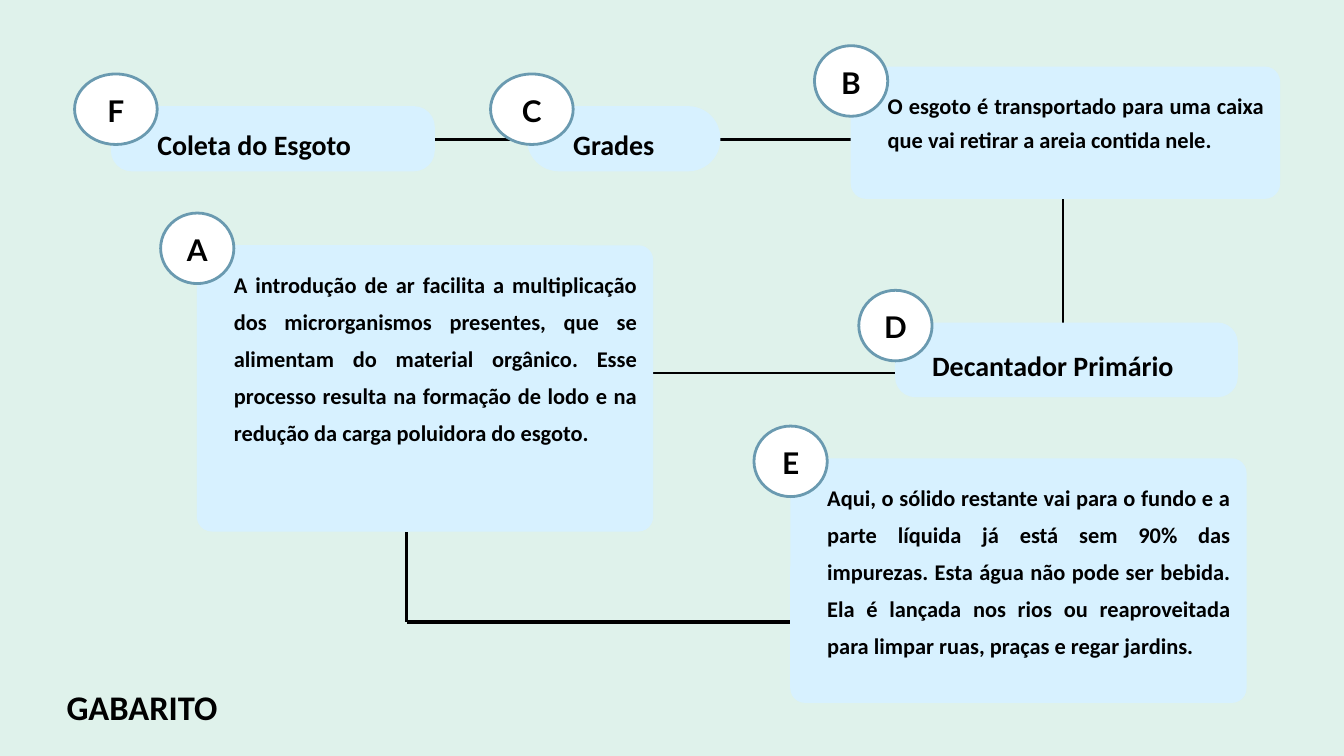
from pptx import Presentation, util as u
from pptx.dml.color import RGBColor
from pptx.enum import shapes, text
from pptx.oxml import xmlchemy

INK, CARD, BADGE, BORDER, BACKGROUND = "000000", "D7F1FF", "FFFFFF", "6A9AB0", "DFF2EB"
BODY_FONT, BADGE_FONT = "Calibri", "Lato"


def color(value):
    return RGBColor.from_string(value)


class FlowSlide:
    badge_offset = 0.54  # from the card's left edge back to the badge
    badge_height = 1.05

    def __init__(self, slide):
        self.slide = slide
        slide.background.fill.solid()
        slide.background.fill.fore_color.rgb = color(BACKGROUND)

    def add_words(self, shape, words, size, spacing, font, align, anchor, bottom=0):
        frame = shape.text_frame
        frame.word_wrap = True
        frame.vertical_anchor = anchor
        frame.margin_left = frame.margin_right = frame.margin_top = 0
        frame.margin_bottom = u.Inches(bottom)
        paragraph = frame.paragraphs[0]
        paragraph.alignment = align
        paragraph.line_spacing = u.Pt(spacing)
        run = paragraph.add_run()
        run.text = words
        run.font.name = font
        run.font.size = u.Pt(size)
        run.font.bold = True
        run.font.color.rgb = color(INK)

    def shape(self, kind, box, fill):
        shape = self.slide.shapes.add_shape(kind, *map(u.Inches, box))
        shape.shadow.inherit = False
        shape.fill.solid()
        shape.fill.fore_color.rgb = color(fill)
        shape.line.fill.background()
        return shape

    def label(self, box, words, size, spacing):
        label = self.slide.shapes.add_textbox(*map(u.Inches, box))
        self.add_words(label, words, size, spacing, BODY_FONT,
                       text.PP_ALIGN.JUSTIFY, text.MSO_ANCHOR.TOP)

    def badge(self, left, top, width, letter):
        badge = self.shape(shapes.MSO_SHAPE.OVAL,
                           (left, top, width, self.badge_height), BADGE)
        badge.line.color.rgb = color(BORDER)
        badge.line.width = u.Pt(3)
        self.add_words(badge, letter, 32, 44.8, BADGE_FONT,
                       text.PP_ALIGN.CENTER, text.MSO_ANCHOR.MIDDLE, bottom=0.05)

    def step(self, letter, box, radius, words, text_size, font=(24, 39.6),
             drop=0.24, rise=0.48, badge_width=1.09):
        """A card with a lettered badge on its corner; text starts at the badge's right."""
        left, top, width, height = box
        card = self.shape(shapes.MSO_SHAPE.ROUNDED_RECTANGLE, box, CARD)
        card.adjustments[0] = radius / min(width, height)
        badge_left = left - self.badge_offset
        self.badge(badge_left, top - rise, badge_width, letter)
        self.label((badge_left + badge_width, top + drop, *text_size), words, *font)

    def line(self, start, end, width=3):
        line = self.slide.shapes.add_connector(
            shapes.MSO_CONNECTOR.STRAIGHT, *map(u.Inches, (*start, *end)))
        line.line.color.rgb = color(INK)
        line.line.width = u.Pt(width)
        line._element.spPr.append(xmlchemy.OxmlElement("a:effectLst"))


def main():
    presentation = Presentation()
    presentation.slide_width = u.Inches(20)
    presentation.slide_height = u.Inches(11.25)
    flow = FlowSlide(presentation.slides.add_slide(presentation.slide_layouts[6]))

    # Lines, running behind the cards
    flow.line((3.79, 2.08), (16.38, 2.08))
    flow.line((15.82, 5.11), (15.82, 2.29))
    flow.line((9.72, 5.55), (15.82, 5.55))
    flow.line((6.05, 7.92), (6.05, 9.26), 4)
    flow.line((13.88, 9.26), (6.05, 9.26), 4)

    # Steps with a short name
    title = (30, 46.2)
    flow.step("F", (1.65, 1.58, 4.82, 0.97), 0.31, "Coleta do Esgoto", (3.82, 0.57),
              title, drop=0.17, badge_width=1.23)
    flow.step("C", (7.84, 1.58, 2.88, 0.97), 0.48, "Grades", (2.17, 0.57),
              title, drop=0.17, badge_width=1.23)
    flow.step("D", (13.32, 4.8, 5.1, 1.11), 0.3, "Decantador Primário", (5.01, 0.57), title)

    # Steps with a description
    flow.step("B", (12.66, 0.99, 6.39, 1.97), 0.23,
              "O esgoto é transportado para uma caixa que vai retirar a areia contida nele.",
              (5.6, 1.47), (24, 37), drop=0.26, rise=0.31)
    flow.step("A", (2.93, 3.65, 6.79, 4.26), 0.22,
              "A introdução de ar facilita a multiplicação dos microrganismos presentes, "
              "que se alimentam do material orgânico. Esse processo resulta na formação "
              "de lodo e na redução da carga poluidora do esgoto.", (6, 3.72))
    flow.step("E", (11.76, 6.82, 6.79, 3.64), 0.22,
              "Aqui, o sólido restante vai para o fundo e a parte líquida já está sem 90% "
              "das impurezas. Esta água não pode ser bebida. Ela é lançada nos rios ou "
              "reaproveitada para limpar ruas, praças e regar jardins.", (6, 3.18))

    # Answer key heading
    flow.label((0.99, 10.03, 3.2, 0.73), "GABARITO", 37, 57)

    presentation.save("out.pptx")


if __name__ == "__main__":
    main()
